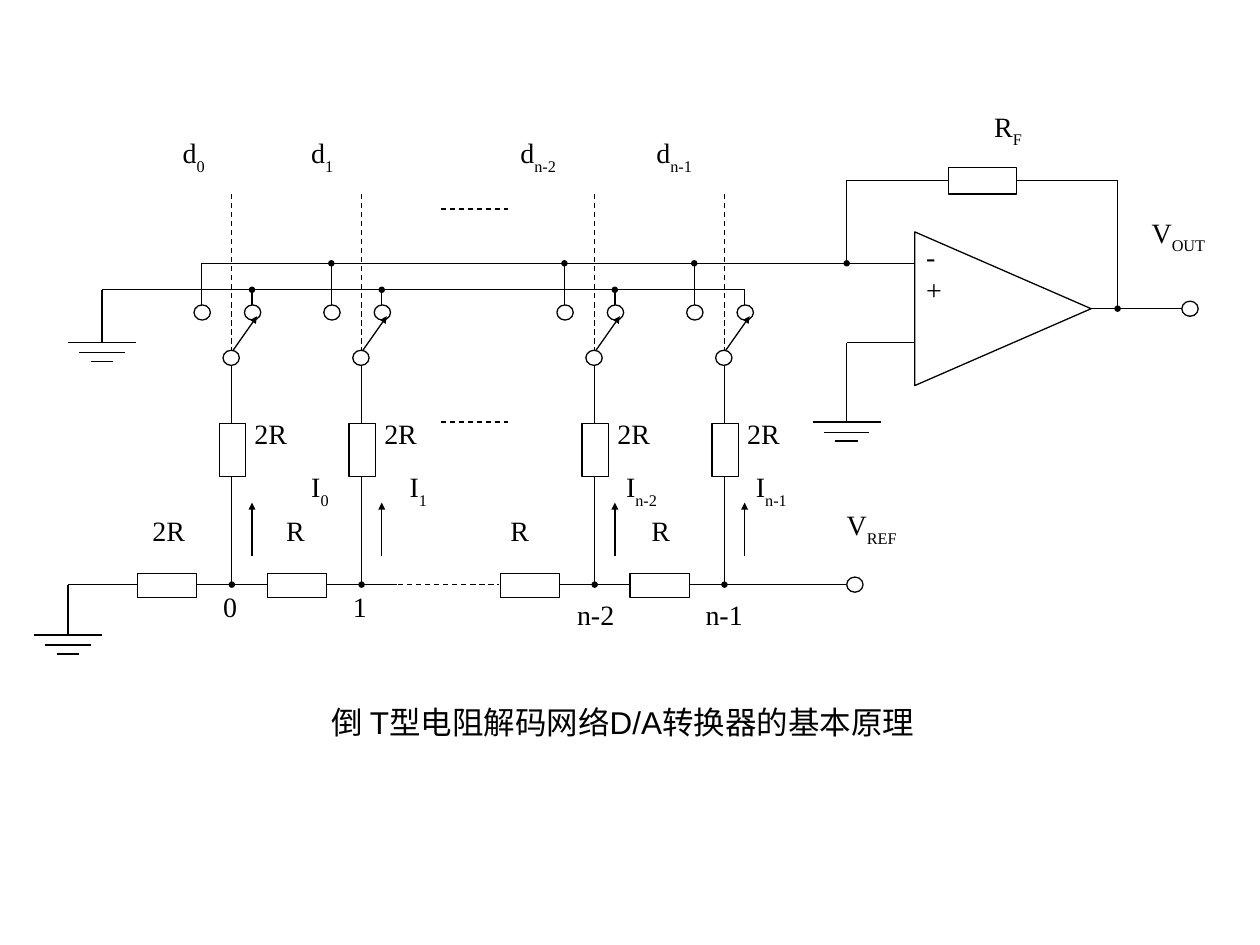
from dataclasses import dataclass

from lxml.etree import SubElement
from pptx import Presentation
from pptx.dml.color import RGBColor
from pptx.enum.dml import MSO_LINE
from pptx.enum.shapes import MSO_CONNECTOR, MSO_SHAPE as MS
from pptx.enum.text import MSO_ANCHOR, MSO_AUTO_SIZE, PP_ALIGN
from pptx.oxml.ns import qn
from pptx.util import Inches, Pt


@dataclass
class Theme:
    ink = RGBColor(0, 0, 0)
    paper = RGBColor(255, 255, 255)
    label_font = "Times New Roman"
    caption_font = "Arial"
    label_size = Pt(16)
    caption_size = Pt(18)
    line_width = Pt(0.75)


theme = Theme()
prs = Presentation()
prs.slide_width, prs.slide_height = Inches(10), Inches(7.5)
slide = prs.slides.add_slide(prs.slide_layouts[5])


def wire(x1, y1, x2, y2, dashed=False, arrow=False):
    cxn = slide.shapes.add_connector(
        MSO_CONNECTOR.STRAIGHT, Inches(x1), Inches(y1), Inches(x2), Inches(y2))
    cxn.line.color.rgb = theme.ink
    cxn.line.width = theme.line_width
    if dashed:
        cxn.line.dash_style = MSO_LINE.DASH
    if arrow:
        SubElement(cxn.line._get_or_add_ln(), qn("a:tailEnd"),
                   type="triangle", w="sm", len="sm")
    SubElement(cxn._element.spPr, qn("a:effectLst"))


def part(kind, x, y, w, h, fill=theme.paper, rotation=0):
    sp = slide.shapes.add_shape(kind, Inches(x), Inches(y), Inches(w), Inches(h))
    sp.shadow.inherit = False
    sp.rotation = rotation
    sp.fill.solid()
    sp.fill.fore_color.rgb = fill
    sp.line.color.rgb = theme.ink
    sp.line.width = theme.line_width


# Heights of the horizontal runs
feedback, bus, rail, ladder = 1.43, 2.09, 2.3, 4.64

# Amplifier with its feedback loop and output
part(MS.FLOWCHART_EXTRACT, 7.35, 1.75, 1.22, 1.4, rotation=90)
for ends in [
    (1.6, bus, 7.26, bus), (6.72, bus, 6.72, feedback), (6.72, feedback, 7.53, feedback),
    (8.07, feedback, 8.87, feedback), (8.87, feedback, 8.87, 2.45), (8.66, 2.45, 9.4, 2.45),
    (6.72, 2.72, 7.26, 2.72), (6.72, 2.72, 6.72, 3.35),
]:
    wire(*ends)
part(MS.RECTANGLE, 7.53, 1.33, 0.54, 0.21)

# Ground rail and left end of the ladder
for ends in [
    (5.91, rail, 0.81, rail), (0.81, rail, 0.81, 2.72),
    (1.09, ladder, 0.54, ladder), (0.54, ladder, 0.54, 5.04),
]:
    wire(*ends)

# Ground symbols
for x, y in [(6.72, 3.35), (0.54, 5.04), (0.81, 2.72)]:
    for half, drop in [(0.27, 0), (0.18, 0.08), (0.09, 0.15)]:
        wire(x - half, y + drop, x + half, y + drop)

# Switched branches of the ladder
branches = [1.6, 2.63, 4.48, 5.51]
for x in branches:
    part(MS.RECTANGLE, x + 0.14, 3.36, 0.21, 0.42)
    part(MS.RECTANGLE, x - 0.37, 4.41, 0.19, 0.47, rotation=90)
    wire(x + 0.24, 3.78, x + 0.24, ladder)
    wire(x + 0.24, 3.36, x + 0.24, 2.82)
    wire(x + 0.4, rail, x + 0.4, 2.51)
    wire(x, bus, x, 2.51)
    wire(x - 0.04, ladder, 6.72 if x == branches[-1] else x + 0.52, ladder)
    for dx, y in [(0.17, 2.78), (-0.06, 2.42), (0.34, 2.42)]:
        part(MS.OVAL, x + dx, y, 0.13, 0.12)
    wire(x + 0.25, 2.78, x + 0.44, 2.51, arrow=True)
    wire(x + 0.4, 4.41, x + 0.4, 3.99, arrow=True)
    wire(x + 0.24, 1.54, x + 0.24, 2.78, dashed=True)

# Terminals and junction dots
for x, y in [(6.72, 4.58), (9.38, 2.39)]:
    part(MS.OVAL, x, y, 0.13, 0.12)
dots = [(x + 0.24, ladder) for x in branches]
dots += [(x, bus) for x in branches[1:]]
dots += [(x + 0.4, rail) for x in branches[:-1]]
dots += [(6.72, bus), (8.87, 2.45)]
for x, y in dots:
    part(MS.OVAL, x - 0.02, y - 0.02, 0.04, 0.04, fill=theme.ink)

# Dashes for the omitted stages
for x1, x2, y in [(3.16, 3.96, ladder), (3.5, 4.03, 3.35), (3.5, 4.03, 1.66)]:
    wire(x1, y, x2, y, dashed=True)

# Labels: text, left, top, width, height; "_" starts a subscript
labels = [
    ("-\n+", 7.35, 1.9, 0.4, 0.6),
    ("R_F", 7.89, 0.87, 0.61, 0.4),
    ("V_OUT", 9.14, 1.71, 0.81, 0.4),
    ("V_REF", 6.72, 4.03, 0.6, 0.4),
    ("d_0", 1.45, 1.08, 0.78, 0.4),
    ("d_1", 2.47, 1.08, 0.78, 0.4),
    ("d_n-2", 4.13, 1.08, 0.78, 0.4),
    ("d_n-1", 5.21, 1.08, 0.78, 0.4),
    ("I_0", 2.47, 3.73, 0.31, 0.4),
    ("I_1", 3.25, 3.73, 0.45, 0.4),
    ("I_n-2", 4.97, 3.73, 0.6, 0.4),
    ("I_n-1", 6, 3.73, 0.6, 0.4),
    ("2R", 1.21, 4.08, 0.47, 0.4),
    ("R", 2.27, 4.08, 0.35, 0.4),
    ("R", 4.05, 4.08, 0.31, 0.4),
    ("R", 5.17, 4.08, 0.36, 0.4),
    ("0", 1.77, 4.68, 0.35, 0.4),
    ("1", 2.8, 4.68, 0.35, 0.4),
    ("n-2", 4.58, 4.74, 0.63, 0.4),
    ("n-1", 5.6, 4.74, 0.63, 0.4),
]
labels += [("2R", x + 0.42, 3.31, 0.47, 0.4) for x in branches]
for text, x, y, w, h in labels:
    tf = slide.shapes.add_textbox(Inches(x), Inches(y), Inches(w), Inches(h)).text_frame
    tf.word_wrap = True
    tf.margin_left = tf.margin_right = tf.margin_top = tf.margin_bottom = 0
    base, _, subscript = text.partition("_")
    tf.text = base
    if subscript:
        r = tf.paragraphs[0].add_run()
        r.text = subscript
        r._r.get_or_add_rPr().set("baseline", "-30000")
    for p in tf.paragraphs:
        p.font.name, p.font.size = theme.label_font, theme.label_size
        p.font.color.rgb = theme.ink

# Caption
title = slide.shapes.title
title.left, title.top, title.width, title.height = map(Inches, (2.53, 5.53, 4.83, 0.4))
tf = title.text_frame
tf.text = "倒 T型电阻解码网络D/A转换器的基本原理"
tf.word_wrap = True
tf.auto_size = MSO_AUTO_SIZE.NONE
tf.vertical_anchor = MSO_ANCHOR.MIDDLE
p = tf.paragraphs[0]
p.alignment = PP_ALIGN.LEFT
p.font.name, p.font.size = theme.caption_font, theme.caption_size
p.font.color.rgb = theme.ink

prs.save("out.pptx")
